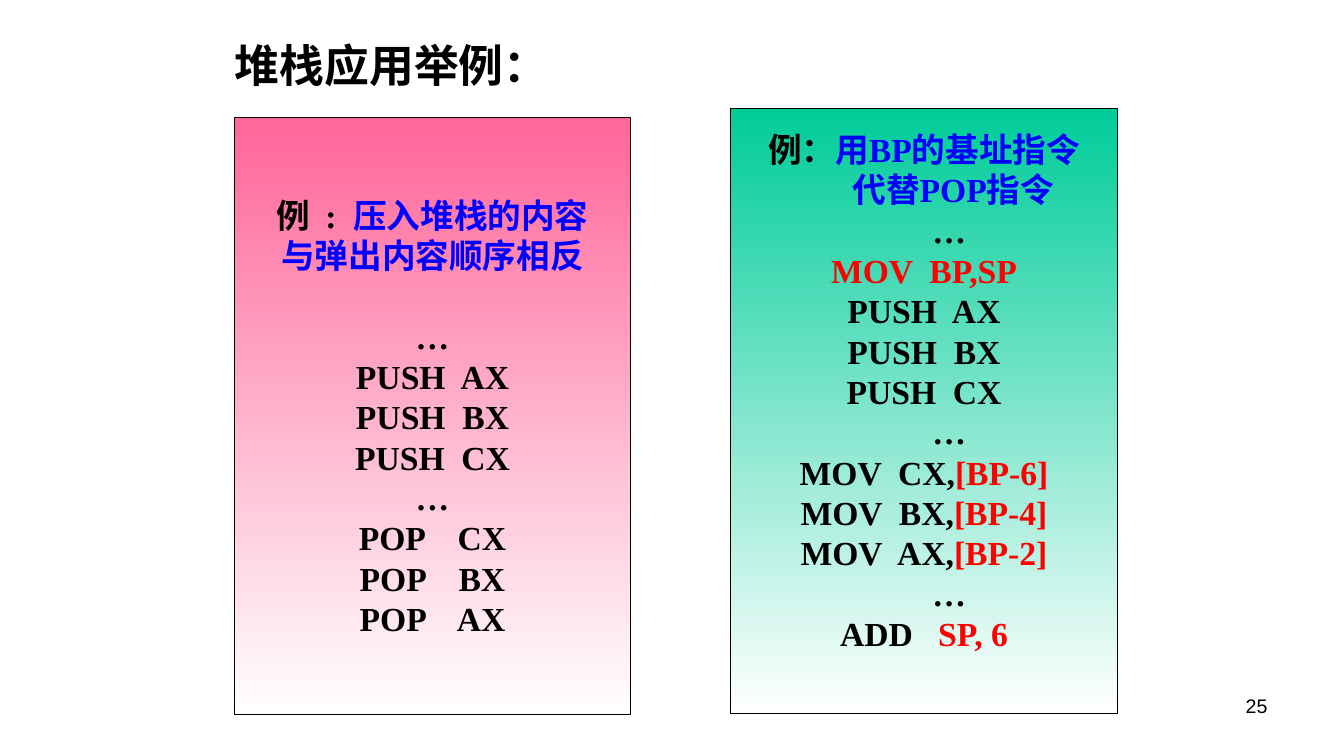
from dataclasses import dataclass

from pptx import Presentation
from pptx.dml.color import RGBColor
from pptx.enum.shapes import MSO_SHAPE
from pptx.enum.text import MSO_ANCHOR, PP_ALIGN
from pptx.util import Inches, Pt

RECTANGLE = MSO_SHAPE.RECTANGLE
MIDDLE = MSO_ANCHOR.MIDDLE
LEFT, CENTER, RIGHT = PP_ALIGN.LEFT, PP_ALIGN.CENTER, PP_ALIGN.RIGHT

BLACK, BLUE, RED, WHITE = "000000", "0000FF", "FF0000", "FFFFFF"
SERIF, SANS = "Times New Roman", "Arial"
CODE_SIZE = 24


@dataclass(frozen=True)
class Span:
    text: str
    color: str = BLACK


@dataclass(frozen=True)
class Line:
    spans: tuple[Span, ...]
    indent: float = 0
    space_before: float = 0


@dataclass(frozen=True)
class Panel:
    left: float
    top: float
    width: float
    height: float
    color: str
    bottom_inset: float
    lines: tuple[Line, ...]


@dataclass(frozen=True)
class Label:
    left: float
    top: float
    width: float
    height: float
    text: str
    size: float
    font: str
    bold: bool
    align: PP_ALIGN


def code(text: str, operand: str = "", indent: float = 0, space_before: float = 0) -> Line:
    spans = (Span(text), Span(operand, RED)) if operand else (Span(text),)
    return Line(spans, indent, space_before)


PUSHES = tuple(code(f"PUSH  {register}") for register in ("AX", "BX", "CX"))
POPS = tuple(code(f"POP    {register}") for register in ("CX", "BX", "AX"))
MOVES = tuple(
    code(f"MOV  {register},", f"[BP-{offset}]")
    for register, offset in (("CX", 6), ("BX", 4), ("AX", 2))
)
SHIFTED_DOTS = code("…", indent=0.5)

PANELS = (
    Panel(7.25, 1.08, 3.83, 6, "00CC99", 0.45, (
        Line((Span("例："), Span("用BP的基址指令", BLUE))),
        Line((Span("代替POP指令", BLUE),), indent=0.58),
        SHIFTED_DOTS,
        Line((Span("MOV  BP,SP", RED),)),
        *PUSHES,
        SHIFTED_DOTS,
        *MOVES,
        SHIFTED_DOTS,
        code("ADD   ", "SP, 6"),
    )),
    Panel(2.33, 1.17, 3.92, 5.92, "FF6699", 0.05, (
        Line((Span("例  :  "), Span("压入堆栈的内容", BLUE))),
        Line((Span("与弹出内容顺序相反", BLUE),)),
        code("…", space_before=0.4),
        *PUSHES,
        code("…"),
        *POPS,
    )),
)

LABELS = (
    Label(9.56, 6.83, 3.11, 0.52, "25", 14, SANS, False, RIGHT),
    Label(2.23, 0.33, 3.43, 1.04, "堆栈应用举例：", 32, SERIF, True, LEFT),
)


def rgb(value: str) -> RGBColor:
    return RGBColor.from_string(value)


def add_run(paragraph, span: Span, size: float, font: str, bold: bool) -> None:
    run = paragraph.add_run()
    run.text = span.text
    run.font.size = Pt(size)
    run.font.name = font
    run.font.bold = bold
    run.font.color.rgb = rgb(span.color)


def draw_label(slide, label: Label) -> None:
    box = slide.shapes.add_textbox(
        Inches(label.left), Inches(label.top), Inches(label.width), Inches(label.height)
    )
    box.text_frame.word_wrap = True
    paragraph = box.text_frame.paragraphs[0]
    paragraph.alignment = label.align
    add_run(paragraph, Span(label.text), label.size, label.font, label.bold)


def draw_panel(slide, panel: Panel) -> None:
    rectangle = slide.shapes.add_shape(
        RECTANGLE,
        Inches(panel.left), Inches(panel.top), Inches(panel.width), Inches(panel.height),
    )
    rectangle.shadow.inherit = False
    rectangle.fill.gradient()
    rectangle.fill.gradient_angle = 270
    for stop, color in zip(rectangle.fill.gradient_stops, (panel.color, WHITE)):
        stop.color.rgb = rgb(color)
    rectangle.line.color.rgb = rgb(BLACK)
    rectangle.line.width = Pt(0.75)

    frame = rectangle.text_frame
    frame.word_wrap = True
    frame.vertical_anchor = MIDDLE
    frame.margin_bottom = Inches(panel.bottom_inset)
    for index, line in enumerate(panel.lines):
        paragraph = frame.add_paragraph() if index else frame.paragraphs[0]
        paragraph.alignment = CENTER
        if line.space_before:
            paragraph.space_before = Inches(line.space_before)
        if line.indent:
            properties = paragraph._p.get_or_add_pPr()
            properties.set("marL", str(Inches(line.indent)))
            properties.set("indent", "0")
        for span in line.spans:
            add_run(paragraph, span, CODE_SIZE, SERIF, True)


def main() -> None:
    presentation = Presentation()
    presentation.slide_width = Inches(13.33)
    presentation.slide_height = Inches(7.5)
    slide = presentation.slides.add_slide(presentation.slide_layouts[6])
    for label in LABELS:
        draw_label(slide, label)
    for panel in PANELS:
        draw_panel(slide, panel)
    presentation.save("out.pptx")


if __name__ == "__main__":
    main()
